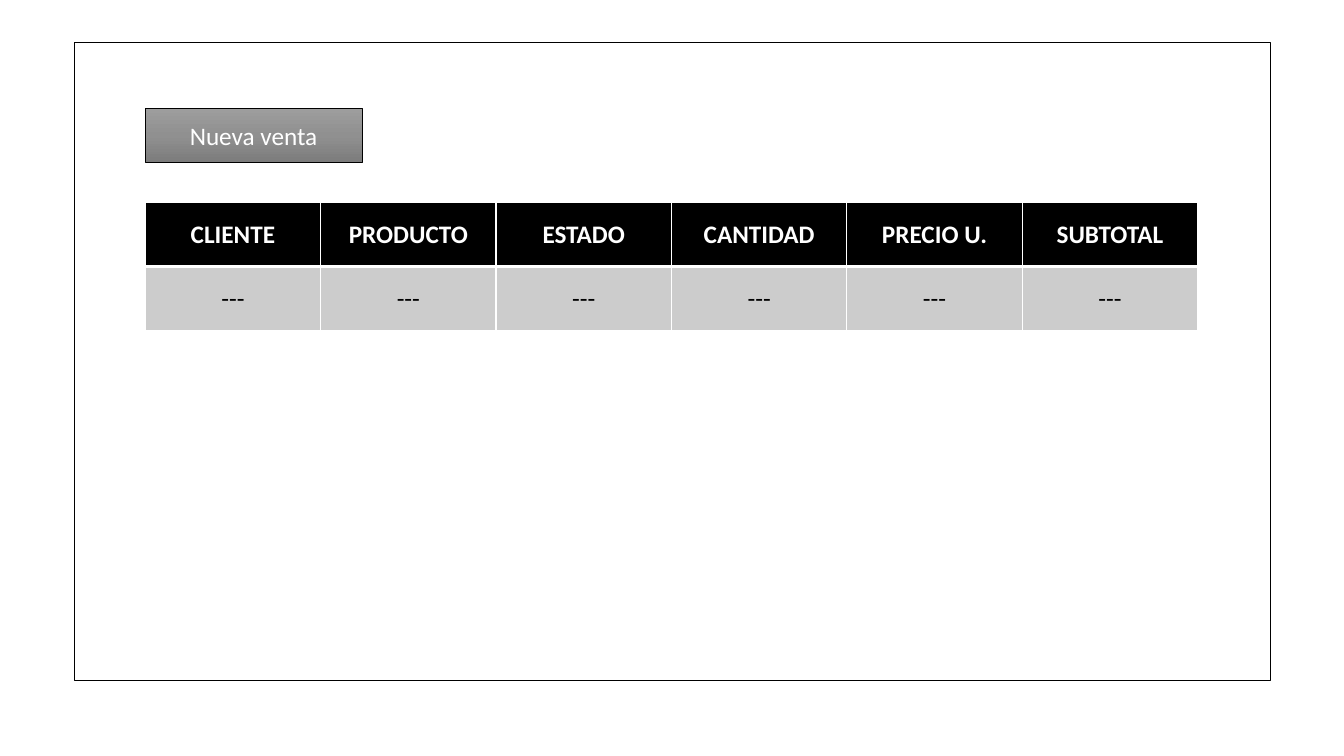
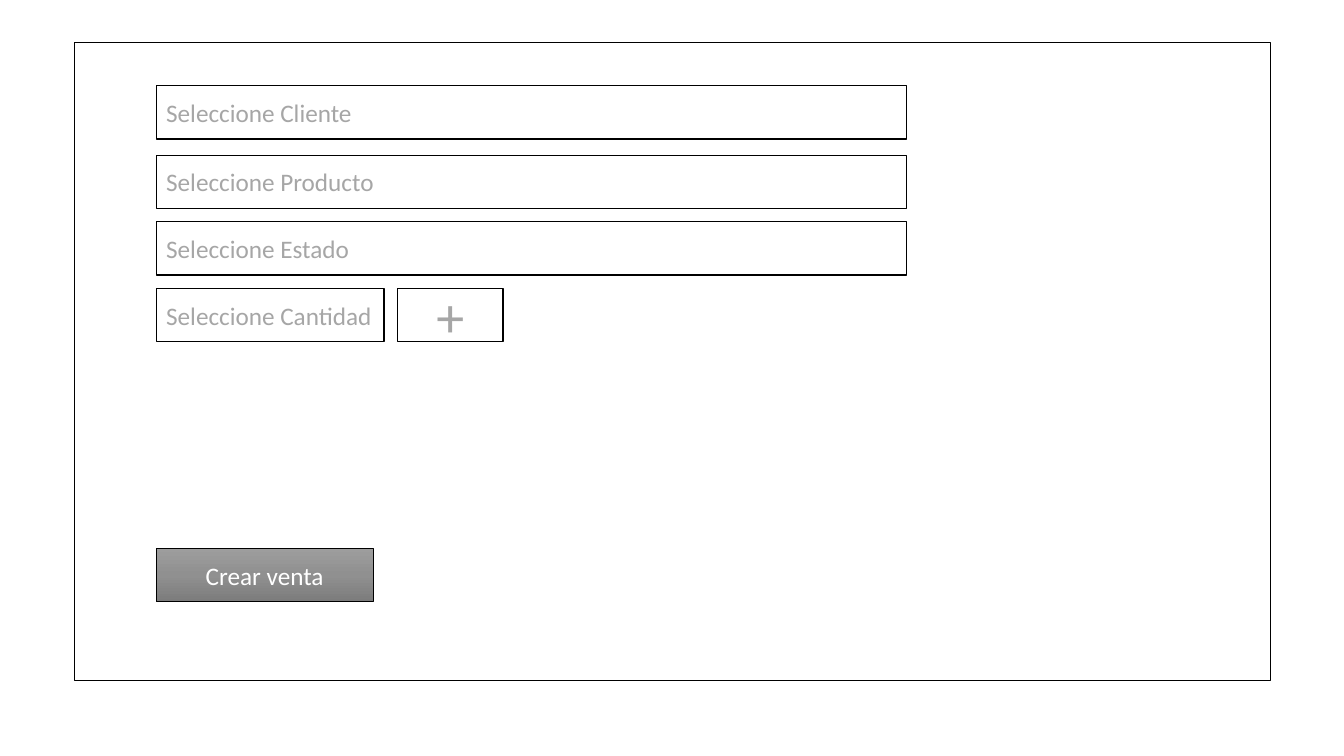
"""Two wireframe slides of a sales app: the sales list and the new sale form."""
from copy import deepcopy
from lxml import etree
from pptx import Presentation, util as u
from pptx.dml.color import RGBColor
from pptx.enum import shapes, text
from pptx.oxml import ns

HUE = {"ink": "000000", "paper": "FFFFFF", "hint": "A6A6A6", "row": "CCCCCC",
       "top": "9D9D9D", "mid": "909090", "low": "7C7C7C"}
SIDE, HIGH, WIDE = 1.55, 0.53, 7.44
MID, LEFT = text.PP_ALIGN.CENTER, text.PP_ALIGN.LEFT


def rgb(name):
    return RGBColor.from_string(HUE[name])


def write(frame, words, size=18, hue="hint", bold=False, align=LEFT):
    frame.vertical_anchor = text.MSO_ANCHOR.MIDDLE
    para = frame.paragraphs[0]
    para.alignment = align
    run = para.add_run()
    run.text = words
    run.font.name, run.font.size, run.font.bold = "Calibri", u.Pt(size), bold
    run.font.color.rgb = rgb(hue)


deck = Presentation()
deck.slide_width, deck.slide_height = u.Inches(13.33), u.Inches(7.5)
plain = deck.slide_layouts[6]
sales, form = (deck.slides.add_slide(plain) for _ in range(2))

frame = (0.74, 0.42, 11.86, 6.33)
tops = (0.85, 1.54, 2.2, 2.86)
button = {"size": 18, "hue": "paper", "align": MID}
boxes = [
    (sales, frame, "", {}),
    (sales, (1.44, 1.08, 2.15, HIGH), "Nueva venta", button),
    (form, frame, "", {}),
    (form, (SIDE, 5.44, 2.15, HIGH), "Crear venta", button),
    (form, (SIDE, tops[0], WIDE, HIGH), "Seleccione Cliente", {}),
    (form, (SIDE, tops[1], WIDE, HIGH), "Seleccione Producto", {}),
    (form, (SIDE, tops[2], WIDE, HIGH), "Seleccione Estado", {}),
    (form, (SIDE, tops[3], 2.26, HIGH), "Seleccione Cantidad", {}),
    (form, (3.94, tops[3], 1.05, HIGH), "+", {"size": 40, "align": MID}),
]
for slide, place, words, look in boxes:
    box = slide.shapes.add_shape(shapes.MSO_SHAPE.RECTANGLE, *map(u.Inches, place))
    box.shadow.inherit = False
    box.line.color.rgb = rgb("ink")
    box.line.width = u.Pt(0.5 if look is button else 1)
    if look is button:
        box.fill.gradient()
        box.fill.gradient_angle = 270
        first = box.fill._fill._gradFill.gsLst[0]
        first.addnext(deepcopy(first))
        for stop, spot, name in zip(box.fill.gradient_stops, (0, 0.5, 1), ("top", "mid", "low")):
            stop.position = spot
            stop.color.rgb = rgb(name)
    else:
        box.fill.solid()
        box.fill.fore_color.rgb = rgb("paper")
    if words:
        write(box.text_frame, words, **look)

heads = ("CLIENTE", "PRODUCTO", "ESTADO", "CANTIDAD", "PRECIO U.", "SUBTOTAL")
rows = (heads, ("---",) * len(heads))
grid = sales.shapes.add_table(len(rows), len(heads), *map(u.Inches, (1.44, 2.01, 10.44, 1.27))).table
for r, row in enumerate(rows):
    head = r == 0
    for c, words in enumerate(row):
        cell = grid.cell(r, c)
        props = cell._tc.get_or_add_tcPr()
        for edge in "LRTB":
            width = 3 if head and edge == "B" else 1
            line = etree.SubElement(props, ns.qn("a:ln" + edge), w=str(u.Pt(width)))
            fill = etree.SubElement(line, ns.qn("a:solidFill"))
            etree.SubElement(fill, ns.qn("a:srgbClr"), val=HUE["paper"])
        cell.fill.solid()
        cell.fill.fore_color.rgb = rgb("ink" if head else "row")
        write(cell.text_frame, words, hue="paper" if head else "ink", bold=head, align=MID)
        cell.vertical_anchor = text.MSO_ANCHOR.MIDDLE

deck.save("out.pptx")
